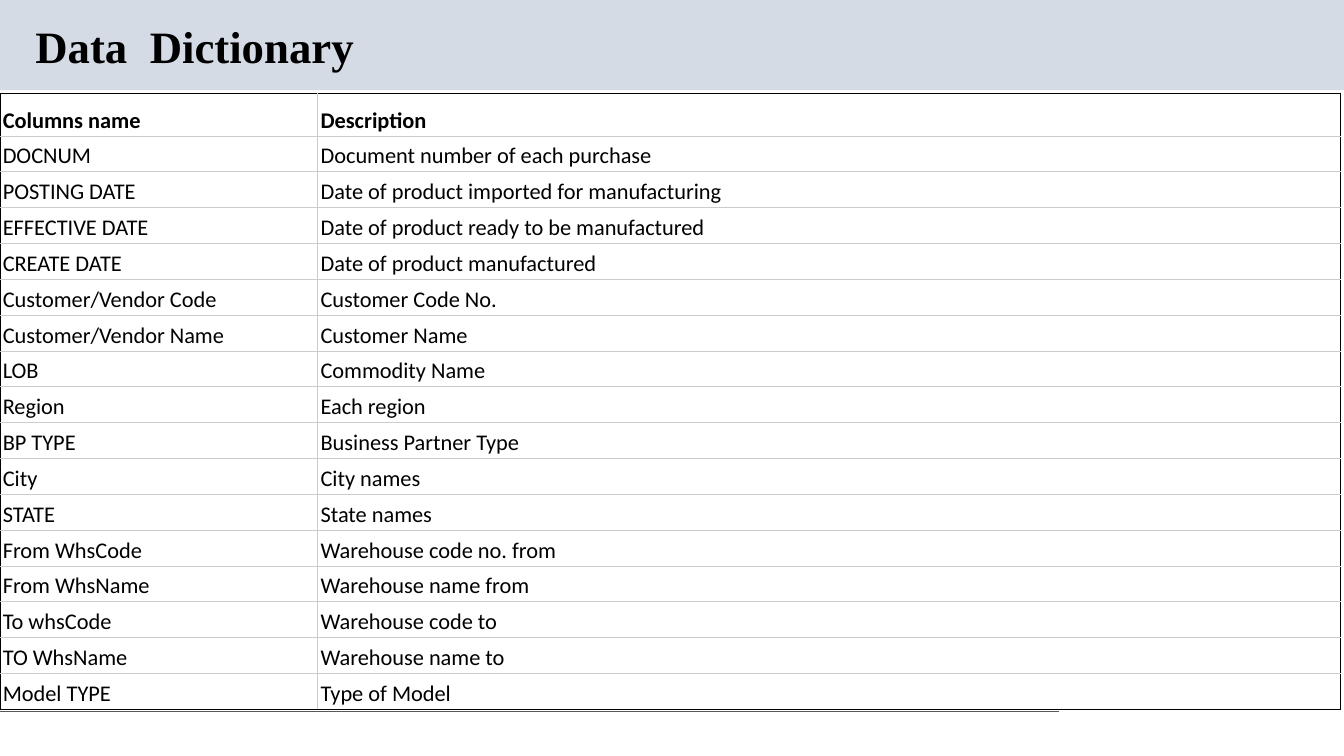
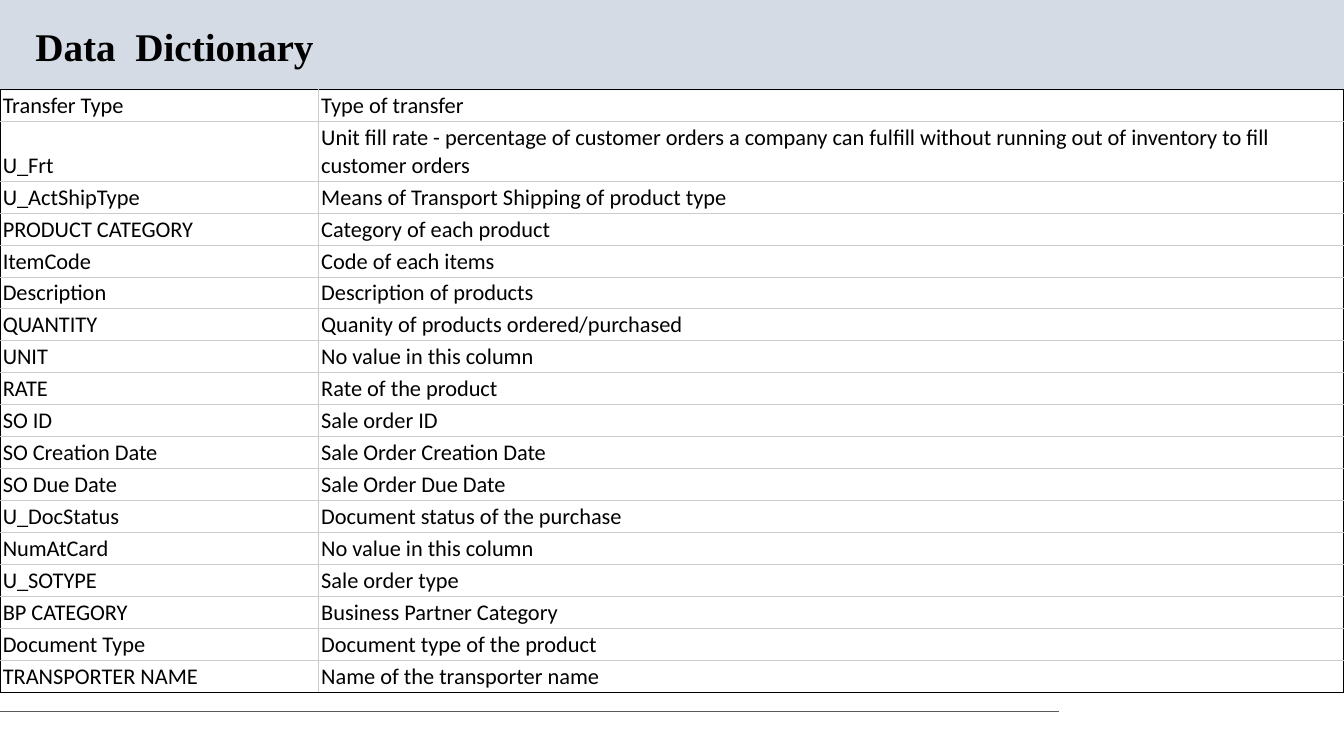
"""Build the two data dictionary slides."""
import pptx
import pptx.dml.color
import pptx.enum.shapes
import pptx.enum.text
import pptx.oxml
import pptx.oxml.ns
import pptx.util

Pt = pptx.util.Pt
RGBColor = pptx.dml.color.RGBColor

BLACK = RGBColor(0x00, 0x00, 0x00)
BAND_BLUE = RGBColor(0xD5, 0xDB, 0xE5)
GRID_GREY = RGBColor(0xCC, 0xCC, 0xCC)
RULE_GREY = RGBColor(0x59, 0x59, 0x59)
TITLE_FONT = "Times New Roman"
BODY_FONT = "Calibri"
BODY_SIZE = 16
LINE_WIDTH = 0.75
PAGE_WIDTH, PAGE_HEIGHT = 960, 540
BAND_HEIGHT = 64.5
RULE_TOP, RULE_END = 508.3, 756.5

PURCHASE_FIELDS = [
    ("Columns name", "Description"),
    ("DOCNUM", "Document number of each purchase"),
    ("POSTING DATE", "Date of product imported for manufacturing"),
    ("EFFECTIVE DATE", "Date of product ready to be manufactured"),
    ("CREATE DATE", "Date of product manufactured"),
    ("Customer/Vendor Code", "Customer Code No."),
    ("Customer/Vendor Name", "Customer Name"),
    ("LOB", "Commodity Name"),
    ("Region", "Each region"),
    ("BP TYPE", "Business Partner Type"),
    ("City", "City names"),
    ("STATE", "State names"),
    ("From WhsCode", "Warehouse code no. from"),
    ("From WhsName", "Warehouse name from"),
    ("To whsCode", "Warehouse code to"),
    ("TO WhsName", "Warehouse name to"),
    ("Model TYPE", "Type of Model"),
]

ORDER_FIELDS = [
    ("Transfer Type", "Type of transfer"),
    ("U_Frt", "Unit fill rate - percentage of customer orders a company can fulfill "
              "without running out of inventory to fill customer orders"),
    ("U_ActShipType", "Means of Transport Shipping of product type"),
    ("PRODUCT CATEGORY", "Category of each product"),
    ("ItemCode", "Code of each items"),
    ("Description", "Description of products"),
    ("QUANTITY", "Quanity of products ordered/purchased"),
    ("UNIT", "No value in this column"),
    ("RATE", "Rate of the product"),
    ("SO ID", "Sale order ID"),
    ("SO Creation Date", "Sale Order Creation Date"),
    ("SO Due Date", "Sale Order Due Date"),
    ("U_DocStatus", "Document status of the purchase"),
    ("NumAtCard", "No value in this column"),
    ("U_SOTYPE", "Sale order type"),
    ("BP CATEGORY", "Business Partner Category"),
    ("Document Type", "Document type of the product"),
    ("TRANSPORTER NAME", "Name of the transporter name"),
]


def add_span(para, text, font, size, bold):
    """Add one formatted run to a paragraph."""
    span = para.add_run()
    span.text = text
    span.font.name = font
    span.font.size = Pt(size)
    span.font.bold = bold
    span.font.color.rgb = BLACK


def add_frame(page):
    """Place the top band and the bottom rule behind everything else."""
    band = page.shapes.add_shape(pptx.enum.shapes.MSO_SHAPE.RECTANGLE,
                                 0, 0, Pt(PAGE_WIDTH), Pt(BAND_HEIGHT))
    band.shadow.inherit = False
    band.fill.solid()
    band.fill.fore_color.rgb = BAND_BLUE
    band.line.fill.background()
    rule = page.shapes.add_connector(pptx.enum.shapes.MSO_CONNECTOR.STRAIGHT,
                                     0, Pt(RULE_TOP), Pt(RULE_END), Pt(RULE_TOP))
    rule.line.color.rgb = RULE_GREY
    rule.line.width = Pt(LINE_WIDTH)
    rule.element.spPr.append(pptx.oxml.parse_xml(
        f'<a:effectLst {pptx.oxml.ns.nsdecls("a")}/>'))
    for shape in (rule, band):
        page.shapes.element.insert(2, shape.element)


def set_title(page, text, size, top, height):
    """Move, fill and format the title placeholder."""
    title = page.shapes.title
    title.left, title.top = Pt(18), Pt(top)
    title.width, title.height = Pt(828), Pt(height)
    frame = title.text_frame
    frame.word_wrap = True
    frame.auto_size = pptx.enum.text.MSO_AUTO_SIZE.SHAPE_TO_FIT_TEXT
    frame.vertical_anchor = pptx.enum.text.MSO_ANCHOR.MIDDLE
    para = frame.paragraphs[0]
    para.alignment = pptx.enum.text.PP_ALIGN.LEFT
    para.line_spacing = 0.9
    add_span(para, text, TITLE_FONT, size, True)


def set_borders(cell, outer_sides):
    """Draw black lines on the outer sides of a cell and grey on the others."""
    properties = cell._tc.get_or_add_tcPr()
    for side in "LRTB":
        color = BLACK if side in outer_sides else GRID_GREY
        properties.append(pptx.oxml.parse_xml(
            f'<a:ln{side} {pptx.oxml.ns.nsdecls("a")} w="{Pt(LINE_WIDTH)}">'
            f'<a:solidFill><a:srgbClr val="{color}"/></a:solidFill></a:ln{side}>'))


def fill_cell(cell, text, bold, outer_sides):
    """Write and format one table cell."""
    cell.margin_left = cell.margin_right = Pt(2)
    cell.margin_top = cell.margin_bottom = Pt(1.4)
    cell.vertical_anchor = pptx.enum.text.MSO_ANCHOR.BOTTOM
    set_borders(cell, outer_sides)
    cell.fill.background()
    add_span(cell.text_frame.paragraphs[0], text, BODY_FONT, BODY_SIZE, bold)


def add_field_table(page, fields, top, widths, row_height, tall_rows, has_header):
    """Add a two-column table of field names and descriptions."""
    heights = [tall_rows.get(index, row_height) for index in range(len(fields))]
    table = page.shapes.add_table(len(fields), len(widths), 0, Pt(top),
                                  Pt(sum(widths)), Pt(sum(heights))).table
    table.first_row = has_header
    table.horz_banding = False
    for column, width in zip(table.columns, widths):
        column.width = Pt(width)
    last = len(fields) - 1
    for index, (row, field) in enumerate(zip(table.rows, fields)):
        row.height = Pt(heights[index])
        edges = ("T" if index == 0 else "") + ("B" if index == last else "")
        for cell, text, side in zip(row.cells, field, "LR"):
            fill_cell(cell, text, has_header and index == 0, edges + side)


def add_page(deck):
    """Add a title-only page with the shared frame."""
    page = deck.slides.add_slide(deck.slide_layouts.get_by_name("Title Only"))
    add_frame(page)
    return page


def main():
    """Build and save the deck."""
    deck = pptx.Presentation()
    deck.slide_width, deck.slide_height = Pt(PAGE_WIDTH), Pt(PAGE_HEIGHT)

    page = add_page(deck)
    set_title(page, "Data  Dictionary", 32, 13.5, 42.5)
    add_field_table(page, PURCHASE_FIELDS, 66.5, (227, 730.5), 25.62, {0: 30.7}, True)

    page = add_page(deck)
    set_title(page, "Data  Dictionary", 28, 16, 37.5)
    add_field_table(page, ORDER_FIELDS, 64, (227.5, 732.5), 22.82, {1: 42.6}, False)

    deck.save("out.pptx")


if __name__ == "__main__":
    main()
